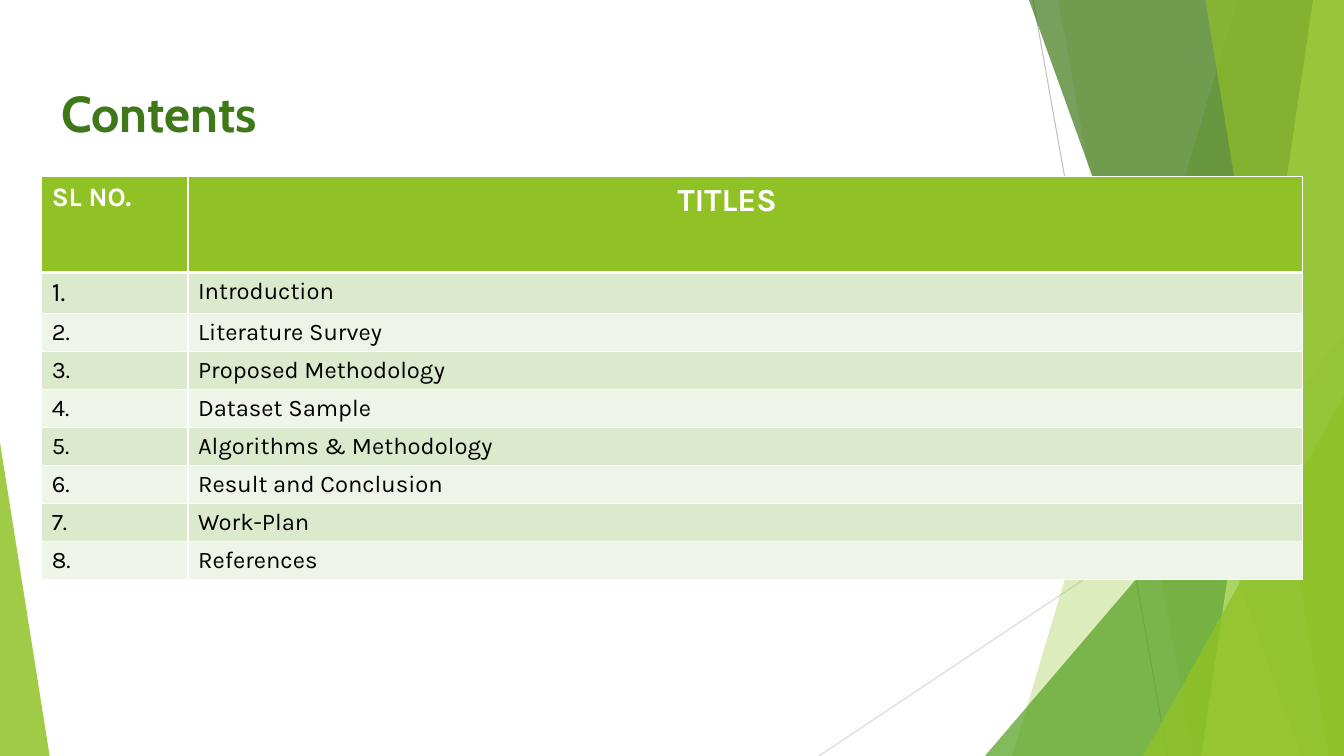
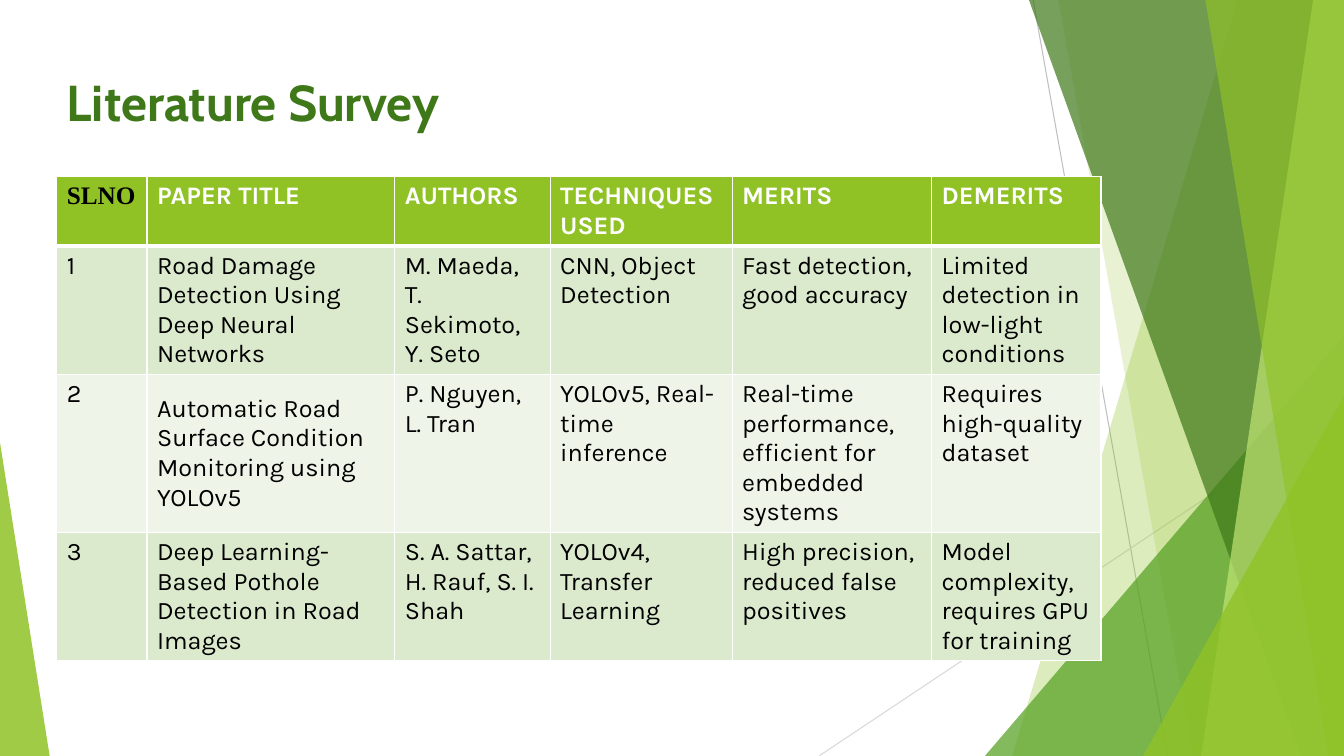
from dataclasses import dataclass, field
from typing import Any

import lxml.etree
import pptx
import pptx.dml.color
import pptx.enum.shapes
import pptx.enum.text
import pptx.oxml.ns
import pptx.util

Pt = pptx.util.Pt
RGBColor = pptx.dml.color.RGBColor
ANCHOR = pptx.enum.text.MSO_ANCHOR
ALIGN = pptx.enum.text.PP_ALIGN
qn = pptx.oxml.ns.qn

WIDTH, HEIGHT = 960, 540

LEAF = RGBColor(0x90, 0xC2, 0x26)
GRASS = RGBColor(0x54, 0xA0, 0x21)
FOREST = RGBColor(0x3F, 0x78, 0x19)
LIME = RGBColor(0xC0, 0xE4, 0x74)
ROW_TINTS = (RGBColor(0xDB, 0xE9, 0xCD), RGBColor(0xEE, 0xF4, 0xE8))
GREY = RGBColor(0xBF, 0xBF, 0xBF)
PALE_GREY = RGBColor(0xD9, 0xD9, 0xD9)
WHITE = RGBColor(0xFF, 0xFF, 0xFF)
BLACK = RGBColor(0, 0, 0)

TITLE_FONT = {"name": "Cabin", "size": Pt(36), "bold": True}
HEADER_FONT = {"name": "Karla", "bold": True, "color": WHITE}
BODY_FONT = {"name": "Karla", "bold": False, "color": BLACK}


@dataclass
class Ray:
    start: tuple[float, float]
    end: tuple[float, float]
    color: RGBColor


@dataclass
class Band:
    """A full-height band whose slanted left edge meets the right side of the slide."""
    top_x: float
    bottom_x: float
    color: RGBColor
    opacity: int


@dataclass
class Wedge:
    """A triangle standing on the bottom edge, with its apex at 0 (left) to 1 (right)."""
    left: float
    top: float
    width: float
    apex: float
    color: RGBColor
    opacity: int


@dataclass
class GridTable:
    left: float
    top: float
    columns: list[float]
    heights: list[float]
    rows: list[list[str]]
    size: float
    fonts: dict[tuple[int, int], dict[str, Any]] = field(default_factory=dict)
    cells: dict[tuple[int, int], dict[str, Any]] = field(default_factory=dict)


@dataclass
class TableSlide:
    title: str
    title_box: tuple[float, float, float, float]
    table: GridTable


RAYS = [
    Ray((738, 0), (834, HEIGHT), GREY),
    Ray((WIDTH, 290), (585, HEIGHT), PALE_GREY),
]
FACETS = [
    Band(884, 723, LEAF, 30),
    Band(756, 852, LEAF, 20),
    Wedge(703.5, 240, 256.5, 1, GRASS, 72),
    Band(735, 929.5, FOREST, 70),
    Band(938, 858, LIME, 70),
    Band(861, 949, LEAF, 65),
    Wedge(816.5, 283, 143.5, 1, LEAF, 80),
    Wedge(0, 316, 35.5, 0, LEAF, 85),
]

TOPICS = [
    "Introduction", "Literature Survey", "Proposed Methodology", "Dataset Sample",
    "Algorithms & Methodology", "Result and Conclusion", "Work-Plan", "References",
]
SLIDES = [
    TableSlide("Contents", (36.7, 54.7, 647, 69), GridTable(
        left=29.8, top=126.2, columns=[104.5, 796.3],
        heights=[68.5, 26] + [24] * 7,
        rows=[["SL NO.", "TITLES"]] + [[f"{n}.", topic] for n, topic in enumerate(TOPICS, 1)],
        size=17,
        fonts={(0, 0): {"size": Pt(19)}, (0, 1): {"size": Pt(23)}, (1, 0): {"size": Pt(19)}},
        cells={(0, 1): {"margin_right": Pt(33)}},
    )),
    TableSlide("Literature Survey", (40.5, 47, 677.5, 61), GridTable(
        left=40.5, top=126.2, columns=[64.5, 177, 111, 130, 142.5, 121],
        heights=[45, 84, 103, 84],
        rows=[
            ["SLNO", "PAPER TITLE", "AUTHORS", "TECHNIQUES USED", "MERITS", "DEMERITS"],
            ["1", "Road Damage Detection Using Deep Neural Networks",
             "M. Maeda, T. Sekimoto, Y. Seto", "CNN, Object Detection",
             "Fast detection, good accuracy", "Limited detection in low-light conditions"],
            ["2", "Automatic Road Surface Condition Monitoring using YOLOv5",
             "P. Nguyen, L. Tran", "YOLOv5, Real-time inference",
             "Real-time performance, efficient for embedded systems",
             "Requires high-quality dataset"],
            ["3", "Deep Learning-Based Pothole Detection in Road Images",
             "S. A. Sattar, H. Rauf, S. I. Shah", "YOLOv4, Transfer Learning",
             "High precision, reduced false positives",
             "Model complexity, requires GPU for training"],
        ],
        size=18,
        fonts={(0, 0): {"name": "Times New Roman", "color": BLACK}},
        cells={(2, 1): {"vertical_anchor": ANCHOR.MIDDLE}},
    )),
]


def apply_format(target: Any, values: dict[str, Any]) -> None:
    for name, value in values.items():
        if name == "color":
            target.color.rgb = value
        else:
            setattr(target, name, value)


def draw_ray(slide: Any, ray: Ray) -> Any:
    line = slide.shapes.add_connector(
        pptx.enum.shapes.MSO_CONNECTOR.STRAIGHT, *map(Pt, ray.start + ray.end))
    apply_format(line.line, {"color": ray.color, "width": Pt(0.75)})
    lxml.etree.SubElement(line.element.spPr, qn("a:effectLst"))
    return line


def draw_facet(slide: Any, facet: Band | Wedge) -> Any:
    if isinstance(facet, Band):
        outline = slide.shapes.build_freeform(Pt(facet.top_x), 0, scale=1.0)
        corners = [(WIDTH, 0), (WIDTH, HEIGHT), (facet.bottom_x, HEIGHT)]
        outline.add_line_segments([(Pt(x), Pt(y)) for x, y in corners], close=True)
        shape = outline.convert_to_shape()
    else:
        shape = slide.shapes.add_shape(
            pptx.enum.shapes.MSO_SHAPE.ISOSCELES_TRIANGLE, Pt(facet.left), Pt(facet.top),
            Pt(facet.width), Pt(HEIGHT - facet.top))
        shape.adjustments[0] = facet.apex
    shape.shadow.inherit = False
    shape.line.fill.background()
    shape.fill.solid()
    shape.fill.fore_color.rgb = facet.color
    tint = shape.element.spPr.find(f"{qn('a:solidFill')}/{qn('a:srgbClr')}")
    lxml.etree.SubElement(tint, qn("a:alpha"), val=str(facet.opacity * 1000))
    return shape


def decorate_layout(layout: Any, slide: Any) -> None:
    """Draw the backdrop on a slide, then move it to the layout that all slides share."""
    for placeholder in list(layout.placeholders):
        if placeholder.placeholder_format.type != pptx.enum.shapes.PP_PLACEHOLDER.TITLE:
            placeholder.element.getparent().remove(placeholder.element)
    backdrop = [draw_ray(slide, ray) for ray in RAYS]
    backdrop += [draw_facet(slide, facet) for facet in FACETS]
    for part in backdrop:
        layout.shapes.element.append(part.element)


def set_title(slide: Any, text: str, box: tuple[float, float, float, float]) -> None:
    title = slide.shapes.title
    apply_format(title, dict(zip(("left", "top", "width", "height"), map(Pt, box))))
    title.text_frame.text = text
    title.text_frame.vertical_anchor = ANCHOR.TOP
    heading = title.text_frame.paragraphs[0]
    heading.alignment = ALIGN.LEFT
    apply_format(heading.font, TITLE_FONT | {"color": FOREST})


def set_borders(cell: Any, widths: dict[str, float]) -> None:
    properties = cell._tc.get_or_add_tcPr()
    for side, width in widths.items():
        border = lxml.etree.SubElement(properties, qn(f"a:ln{side}"), w=str(Pt(width)))
        fill = lxml.etree.SubElement(border, qn("a:solidFill"))
        lxml.etree.SubElement(fill, qn("a:srgbClr"), val=str(WHITE))


def draw_table(slide: Any, grid: GridTable) -> None:
    table = slide.shapes.add_table(
        len(grid.rows), len(grid.columns), Pt(grid.left), Pt(grid.top),
        Pt(sum(grid.columns)), Pt(sum(grid.heights))).table
    for column, width in zip(table.columns, grid.columns):
        column.width = Pt(width)
    for r, (texts, height) in enumerate(zip(grid.rows, grid.heights)):
        table.rows[r].height = Pt(height)
        for c, text in enumerate(texts):
            cell = table.cell(r, c)
            cell.text = text
            set_borders(cell, {"L": 1, "R": 1, "T": 3 if r == 1 else 1, "B": 3 if r == 0 else 1})
            cell.fill.solid()
            cell.fill.fore_color.rgb = ROW_TINTS[(r - 1) % 2] if r else LEAF
            apply_format(cell, grid.cells.get((r, c), {}))
            paragraph = cell.text_frame.paragraphs[0]
            paragraph.alignment = ALIGN.CENTER if text == "TITLES" else ALIGN.LEFT
            font = BODY_FONT if r else HEADER_FONT
            apply_format(paragraph.runs[0].font,
                         font | {"size": Pt(grid.size)} | grid.fonts.get((r, c), {}))


def main() -> None:
    deck = pptx.Presentation()
    deck.slide_width, deck.slide_height = Pt(WIDTH), Pt(HEIGHT)
    layout = deck.slide_layouts.get_by_name("Title Only")
    for index, content in enumerate(SLIDES):
        slide = deck.slides.add_slide(layout)
        if index == 0:
            decorate_layout(layout, slide)
        set_title(slide, content.title, content.title_box)
        draw_table(slide, content.table)
    deck.save("out.pptx")


if __name__ == "__main__":
    main()
